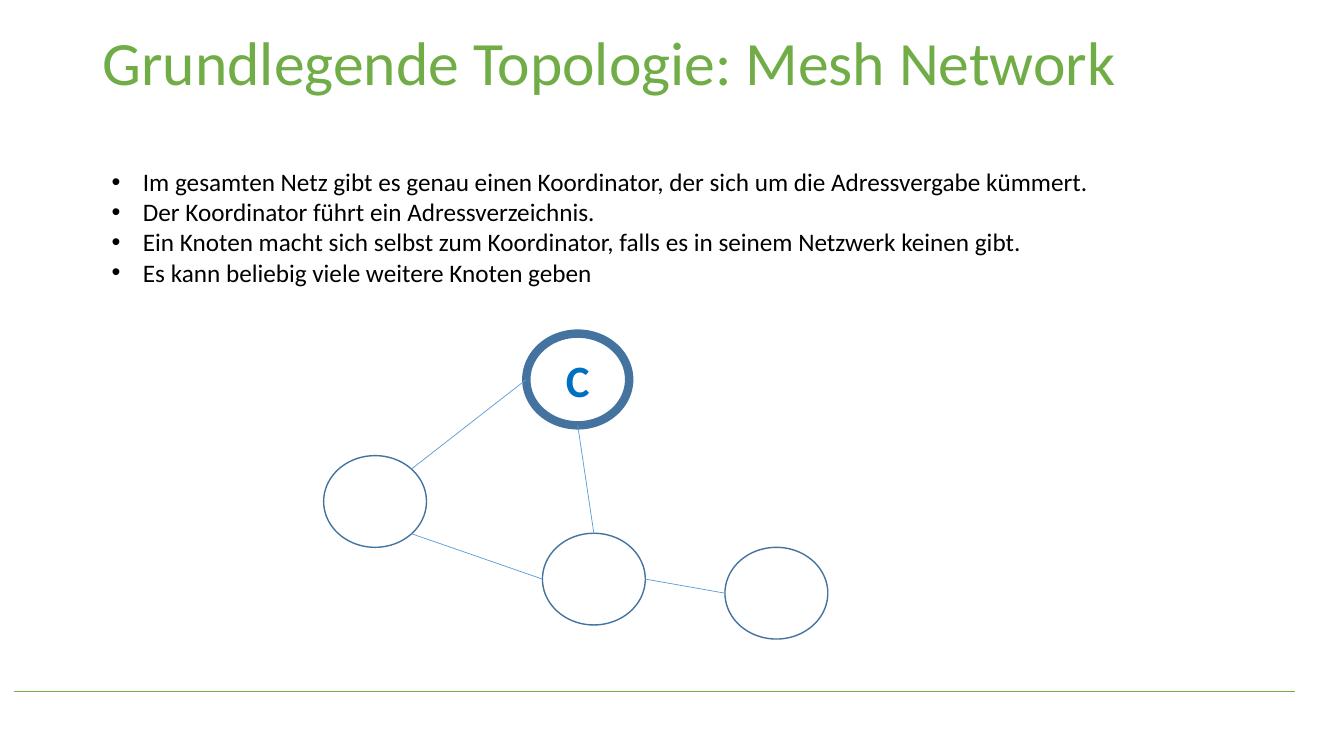
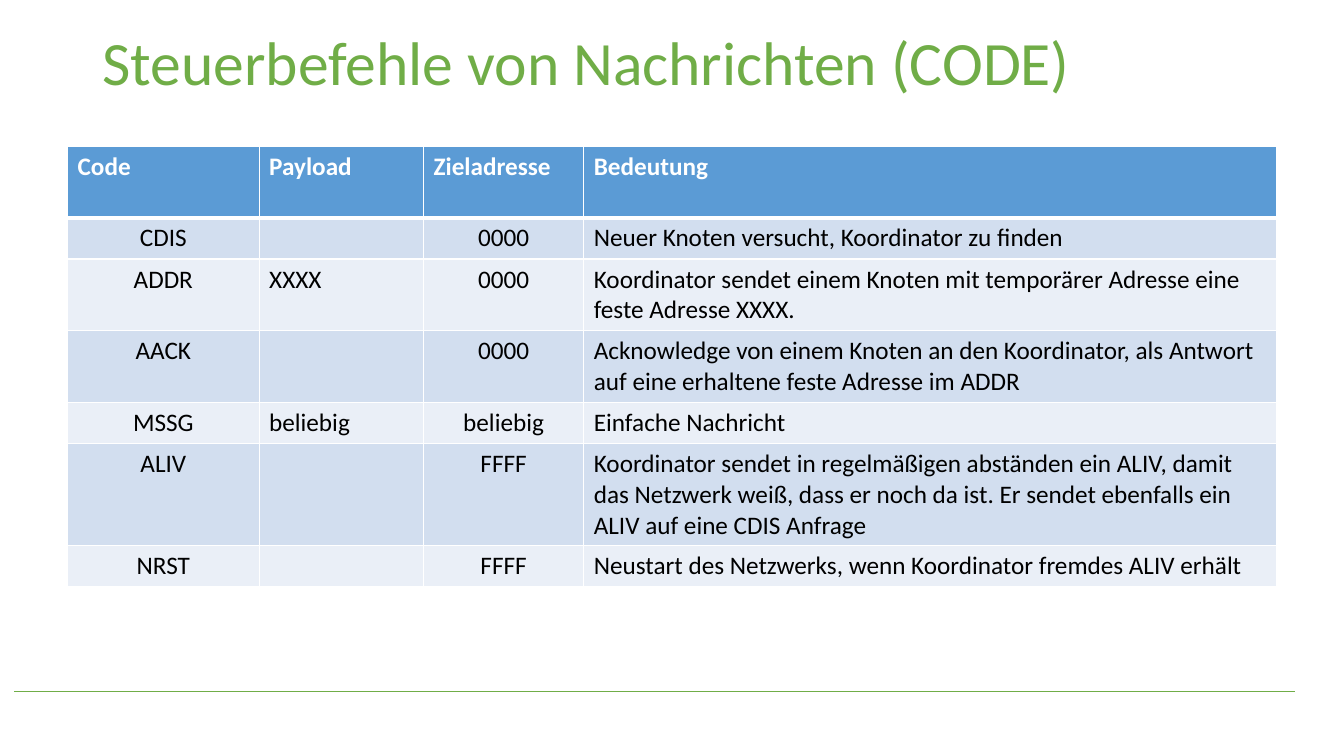
import dataclasses

import lxml.etree
import pptx
import pptx.dml.color
import pptx.enum.shapes
import pptx.enum.text
import pptx.oxml.ns
import pptx.util

Inches = pptx.util.Inches
Align = pptx.enum.text.PP_ALIGN
Anchor = pptx.enum.text.MSO_ANCHOR
rgb = pptx.dml.color.RGBColor.from_string
qn = pptx.oxml.ns.qn


@dataclasses.dataclass(frozen=True)
class Theme:
    font: str = "Calibri"
    green: str = "70AD47"
    blue: str = "5B9BD5"
    outline: str = "43739E"
    letter: str = "0070C0"
    band_dark: str = "D2DEEF"
    band_light: str = "EAEFF7"
    white: str = "FFFFFF"
    black: str = "000000"
    title_size: int = 44
    letter_size: int = 32
    body_size: int = 18


theme = Theme()


def write(frame, text, size=theme.body_size, color=theme.black, bold=False,
          align=Align.LEFT, spacing=1.0, bullet=False):
    """Fill a text frame, one paragraph per line of text."""
    frame.word_wrap = True
    for index, line in enumerate(text.split("\n")):
        paragraph = frame.add_paragraph() if index else frame.paragraphs[0]
        paragraph.alignment = align
        paragraph.line_spacing = spacing
        run = paragraph.add_run()
        run.text = line
        run.font.name = theme.font
        run.font.size = pptx.util.Pt(size)
        run.font.bold = bold
        run.font.color.rgb = rgb(color)
        if bullet:
            properties = paragraph._p.get_or_add_pPr()
            properties.set("marL", str(Inches(0.31)))
            properties.set("indent", str(-Inches(0.31)))
            lxml.etree.SubElement(properties, qn("a:buFont")).set("typeface", "Arial")
            lxml.etree.SubElement(properties, qn("a:buChar")).set("char", "•")


def connect(slide, start, end, color):
    """Draw a thin straight line between two points in inches."""
    connector = slide.shapes.add_connector(
        pptx.enum.shapes.MSO_CONNECTOR.STRAIGHT,
        *(Inches(value) for value in (*start, *end)))
    connector.line.color.rgb = rgb(color)
    connector.line.width = pptx.util.Pt(0.5)
    lxml.etree.SubElement(connector._element.spPr, qn("a:effectLst"))


presentation = pptx.Presentation()
presentation.slide_width = Inches(13.33)
presentation.slide_height = Inches(7.5)

# Shared frame: title and footer rule
slides = []
for title in ("Grundlegende Topologie: Mesh Network",
              "Steuerbefehle von Nachrichten (CODE)"):
    slide = presentation.slides.add_slide(presentation.slide_layouts[6])
    connect(slide, (0.14, 6.86), (12.84, 6.86), theme.green)
    title_box = slide.shapes.add_textbox(
        Inches(0.92), Inches(0.27), Inches(11.5), Inches(1.45))
    write(title_box.text_frame, title, size=theme.title_size,
          color=theme.green, spacing=0.9)
    slides.append(slide)
topology_slide, command_slide = slides

# Topology: nodes
node_width, node_height = 1.02, 0.91
nodes = {
    "left": (3.21, 4.52),
    "coordinator": (5.22, 3.31),
    "middle": (5.38, 5.29),
    "right": (7.19, 5.43),
}
for name, (left, top) in nodes.items():
    is_coordinator = name == "coordinator"
    node = topology_slide.shapes.add_shape(
        pptx.enum.shapes.MSO_SHAPE.OVAL, Inches(left), Inches(top),
        Inches(node_width), Inches(node_height))
    node.shadow.inherit = False
    node.fill.solid()
    node.fill.fore_color.rgb = rgb(theme.white)
    node.line.color.rgb = rgb(theme.outline)
    node.line.width = pptx.util.Pt(6 if is_coordinator else 1)
    if is_coordinator:
        node.text_frame.vertical_anchor = Anchor.MIDDLE
        write(node.text_frame, "C", size=theme.letter_size,
              color=theme.letter, bold=True, align=Align.CENTER)

# Topology: links between points on the node outlines
sites = {
    "top": (0.5, 0), "bottom": (0.5, 1), "left": (0, 0.5), "right": (1, 0.5),
    "top right": (0.85, 0.15), "bottom right": (0.85, 0.85),
}
links = [
    (("left", "top right"), ("coordinator", "left")),
    (("coordinator", "bottom"), ("middle", "top")),
    (("left", "bottom right"), ("middle", "left")),
    (("middle", "right"), ("right", "left")),
]
for link in links:
    start, end = [
        (nodes[name][0] + sites[site][0] * node_width,
         nodes[name][1] + sites[site][1] * node_height)
        for name, site in link]
    connect(topology_slide, start, end, theme.blue)

# Topology: rules of the network
rules_box = topology_slide.shapes.add_textbox(
    Inches(1.01), Inches(1.6), Inches(10), Inches(1.31))
write(rules_box.text_frame, "\n".join([
    "Im gesamten Netz gibt es genau einen Koordinator, der sich um die Adressvergabe kümmert.",
    "Der Koordinator führt ein Adressverzeichnis.",
    "Ein Knoten macht sich selbst zum Koordinator, falls es in seinem Netzwerk keinen gibt.",
    "Es kann beliebig viele weitere Knoten geben",
]), bullet=True)

# Commands: each row starts with its height in text lines
commands = [
    (2, "Code", "Payload", "Zieladresse", "Bedeutung"),
    (1, "CDIS", "", "0000", "Neuer Knoten versucht, Koordinator zu finden"),
    (2, "ADDR", "XXXX", "0000",
     "Koordinator sendet einem Knoten mit temporärer Adresse eine feste Adresse XXXX."),
    (2, "AACK", "", "0000",
     "Acknowledge von einem Knoten an den Koordinator, als Antwort auf eine "
     "erhaltene feste Adresse im ADDR"),
    (1, "MSSG", "beliebig", "beliebig", "Einfache Nachricht"),
    (3, "ALIV", "", "FFFF",
     "Koordinator sendet in regelmäßigen abständen ein ALIV, damit das Netzwerk "
     "weiß, dass er noch da ist. Er sendet ebenfalls ein ALIV auf eine CDIS Anfrage"),
    (1, "NRST", "", "FFFF",
     "Neustart des Netzwerks, wenn Koordinator fremdes ALIV erhält"),
]
column_widths = [1.9, 1.63, 1.59, 6.87]
row_heights = [0.11 + 0.3 * row[0] for row in commands]
table = command_slide.shapes.add_table(
    len(commands), len(column_widths), Inches(0.67), Inches(1.45),
    Inches(sum(column_widths)), Inches(sum(row_heights))).table
table.horz_banding = False
for column, width in zip(table.columns, column_widths):
    column.width = Inches(width)

for row_index, (line_count, *texts) in enumerate(commands):
    table.rows[row_index].height = Inches(row_heights[row_index])
    is_header = row_index == 0
    band = theme.band_dark if row_index % 2 else theme.band_light
    for column_index, text in enumerate(texts):
        cell = table.cell(row_index, column_index)
        cell.fill.solid()
        cell.fill.fore_color.rgb = rgb(theme.blue if is_header else band)
        if text:
            centred = not is_header and column_index in (0, 2)
            write(cell.text_frame, text, bold=is_header,
                  color=theme.white if is_header else theme.black,
                  align=Align.CENTER if centred else Align.LEFT)

        # White borders, thicker below the header
        borders = {"lnL": 1, "lnR": 1, "lnT": 3 if row_index == 1 else 1,
                   "lnB": 3 if is_header else 1}
        properties = cell._tc.get_or_add_tcPr()
        for position, (side, width) in enumerate(borders.items()):
            border = lxml.etree.Element(qn("a:" + side), w=str(pptx.util.Pt(width)))
            fill = lxml.etree.SubElement(border, qn("a:solidFill"))
            lxml.etree.SubElement(fill, qn("a:srgbClr")).set("val", theme.white)
            properties.insert(position, border)

presentation.save("out.pptx")
